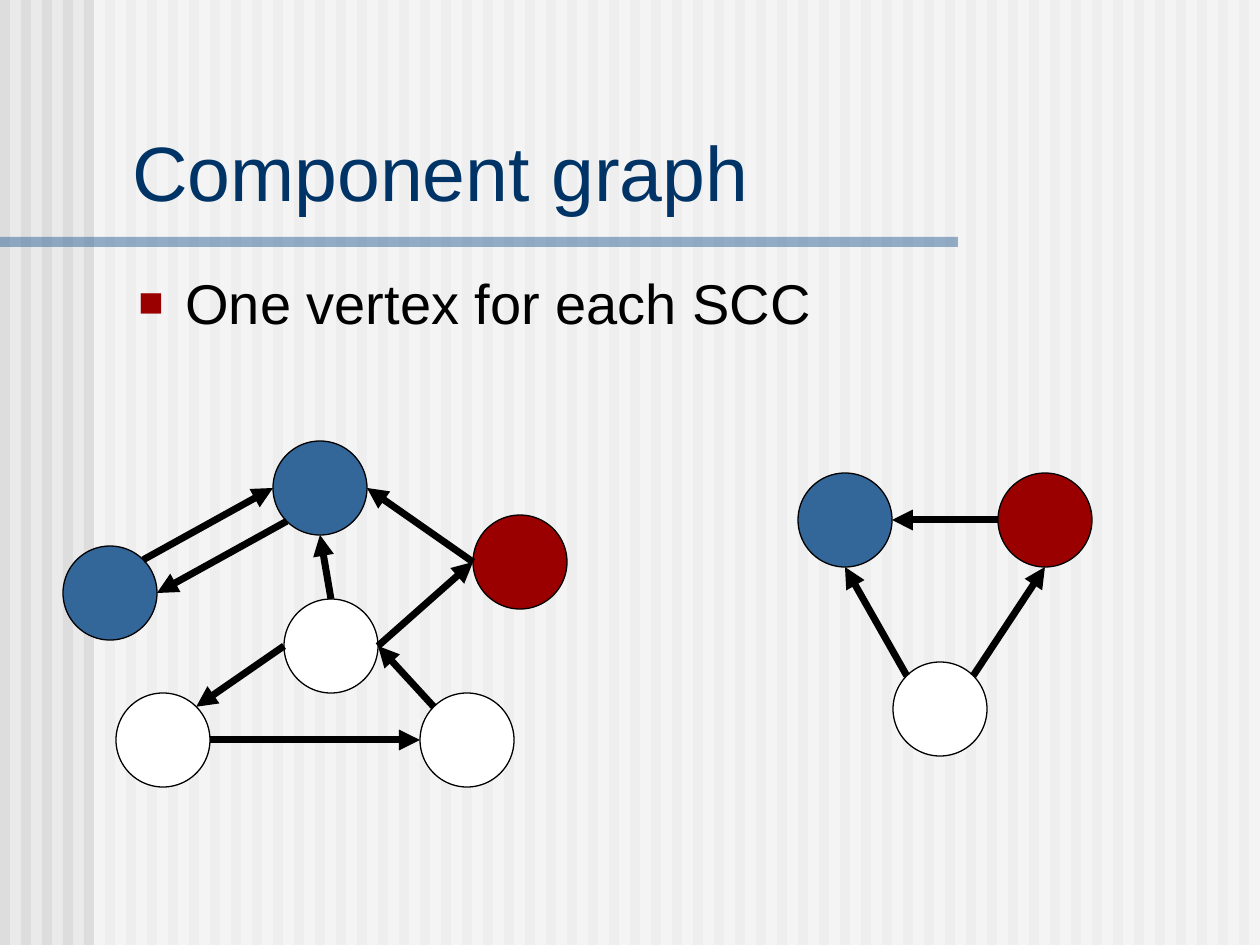
from math import cos, radians, sin

from lxml import etree
from pptx import Presentation
from pptx.dml.color import RGBColor
from pptx.enum.shapes import MSO_CONNECTOR, MSO_SHAPE
from pptx.enum.text import MSO_ANCHOR, MSO_AUTO_SIZE, PP_ALIGN
from pptx.oxml.ns import qn
from pptx.util import Emu, Pt

RECT, OVAL = MSO_SHAPE.RECTANGLE, MSO_SHAPE.OVAL
STRAIGHT = MSO_CONNECTOR.STRAIGHT
BOTTOM = MSO_ANCHOR.BOTTOM
NO_AUTOFIT = MSO_AUTO_SIZE.NONE
ALIGN_LEFT = PP_ALIGN.LEFT

PAPER = RGBColor(0xEA, 0xEA, 0xEA)
STRIPE = RGBColor(0xDD, 0xDD, 0xDD)
WHITE = RGBColor(0xFF, 0xFF, 0xFF)
BLACK = RGBColor(0x00, 0x00, 0x00)
NAVY = RGBColor(0x00, 0x33, 0x66)
BLUE = RGBColor(0x33, 0x66, 0x99)
RED = RGBColor(0x9A, 0x00, 0x00)

FONT = "Arial"
WIDTH, HEIGHT = 1260, 945
STRIPE_STEP, STRIPE_WIDTH = 21, 10
DIAMETER = 94

# Attachment points on a vertex, in degrees clockwise from the right
RIGHT, LOWER, LOWER_LEFT = 0, 90, 135
LEFT, UPPER_LEFT, UPPER, UPPER_RIGHT = 180, 225, 270, 315

# Vertex: left, top, colour
GRAPH = {
    "west": (63, 546, BLUE),
    "north": (273, 441, BLUE),
    "southwest": (116, 693, WHITE),
    "southeast": (420, 693, WHITE),
    "center": (284, 599, WHITE),
    "east": (473, 515, RED),
}
GRAPH_EDGES = [
    ("southwest", RIGHT, "southeast", LEFT),
    ("southeast", UPPER_LEFT, "center", RIGHT),
    ("center", LEFT, "southwest", UPPER_RIGHT),
    ("west", UPPER_RIGHT, "north", LEFT),
    ("north", LOWER_LEFT, "west", RIGHT),
    ("center", UPPER, "north", LOWER),
    ("east", LEFT, "north", RIGHT),
    ("center", RIGHT, "east", LEFT),
]
COMPONENTS = {
    "blue": (798, 473, BLUE),
    "white": (893, 662, WHITE),
    "red": (998, 473, RED),
}
COMPONENT_EDGES = [
    ("white", UPPER_LEFT, "blue", LOWER),
    ("red", LEFT, "blue", RIGHT),
    ("white", UPPER_RIGHT, "red", LOWER),
]


def px(n):
    return Emu(round(n * 914400 / 126))


def add_filled(shapes, kind, left, top, width, height, color, alpha=None):
    sp = shapes.add_shape(kind, px(left), px(top), px(width), px(height))
    sp.shadow.inherit = False
    sp.fill.solid()
    sp.fill.fore_color.rgb = color
    sp.line.fill.background()
    if alpha:
        clr = sp.fill._xPr.find(qn("a:solidFill"))[0]
        etree.SubElement(clr, qn("a:alpha"), val=str(alpha * 1000))
    return sp


def add_background(slide):
    slide.background.fill.solid()
    slide.background.fill.fore_color.rgb = PAPER
    group = slide.shapes.add_group_shape().shapes
    for x in range(0, WIDTH, STRIPE_STEP):
        add_filled(group, RECT, x, 0, STRIPE_WIDTH, HEIGHT, STRIPE)
    add_filled(group, RECT, 94, 0, WIDTH - 94, HEIGHT, WHITE, 50)
    add_filled(group, RECT, 0, 237, 958, 10, BLUE, 50)


def add_run(p, text, size, color):
    r = p.add_run()
    r.text = text
    r.font.name, r.font.size = FONT, Pt(size)
    r.font.color.rgb = color


def set_title(slide, text):
    """Format the title and bring it in front of the background."""
    sp = slide.shapes.title
    sp.left, sp.top, sp.width, sp.height = px(120), px(73), px(1125), px(150)
    tf = sp.text_frame
    tf.auto_size, tf.vertical_anchor = NO_AUTOFIT, BOTTOM
    tf.margin_left = px(12)
    p = tf.paragraphs[0]
    p.alignment = ALIGN_LEFT
    add_run(p, text, 44, NAVY)
    slide.shapes._spTree.append(sp._element)


def add_bullet(slide, text):
    tf = slide.shapes.add_textbox(px(126), px(262), px(1118), px(103)).text_frame
    tf.word_wrap = True
    p = tf.paragraphs[0]
    add_run(p, text, 32, BLACK)
    ppr = p._p.get_or_add_pPr()
    ppr.set("marL", str(px(47)))
    ppr.set("indent", str(px(-47)))
    color = etree.SubElement(ppr, qn("a:buClr"))
    etree.SubElement(color, qn("a:srgbClr"), val=str(RED))
    etree.SubElement(ppr, qn("a:buSzPct"), val="75000")
    etree.SubElement(ppr, qn("a:buFont"), typeface=FONT)
    etree.SubElement(ppr, qn("a:buChar"), char="■")


def rim_point(vertex, angle):
    left, top, _ = vertex
    radius = DIAMETER / 2
    return (px(left + radius * (1 + cos(radians(angle)))),
            px(top + radius * (1 + sin(radians(angle)))))


def add_edge(slide, start, end):
    line = slide.shapes.add_connector(STRAIGHT, *start, *end)
    line.line.color.rgb = BLACK
    line.line.width = Pt(4)
    etree.SubElement(line.line._get_or_add_ln(), qn("a:tailEnd"), type="triangle")
    etree.SubElement(line._element.spPr, qn("a:effectLst"))


def add_graph(slide, vertices, edges):
    for left, top, color in vertices.values():
        sp = add_filled(slide.shapes, OVAL, left, top, DIAMETER, DIAMETER, color)
        sp.line.color.rgb = BLACK
        sp.line.width = Pt(0.75)
    for tail, tail_angle, head, head_angle in edges:
        add_edge(slide, rim_point(vertices[tail], tail_angle),
                 rim_point(vertices[head], head_angle))


def main():
    prs = Presentation()
    prs.slide_width, prs.slide_height = px(WIDTH), px(HEIGHT)
    slide = prs.slides.add_slide(prs.slide_layouts[5])
    add_background(slide)
    set_title(slide, "Component graph")
    add_bullet(slide, "One vertex for each SCC")
    add_graph(slide, GRAPH, GRAPH_EDGES)
    add_graph(slide, COMPONENTS, COMPONENT_EDGES)
    prs.save("out.pptx")


if __name__ == "__main__":
    main()
